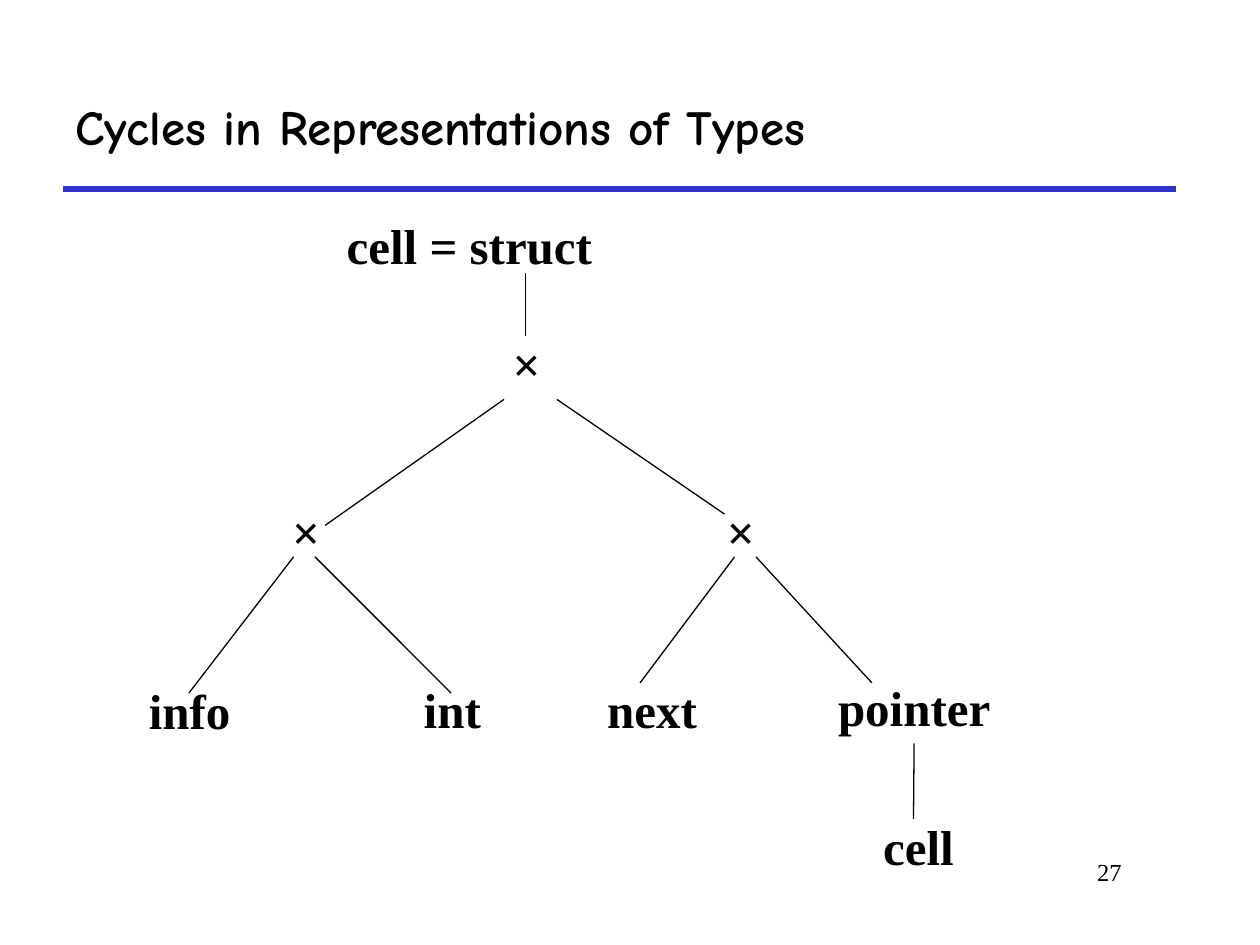
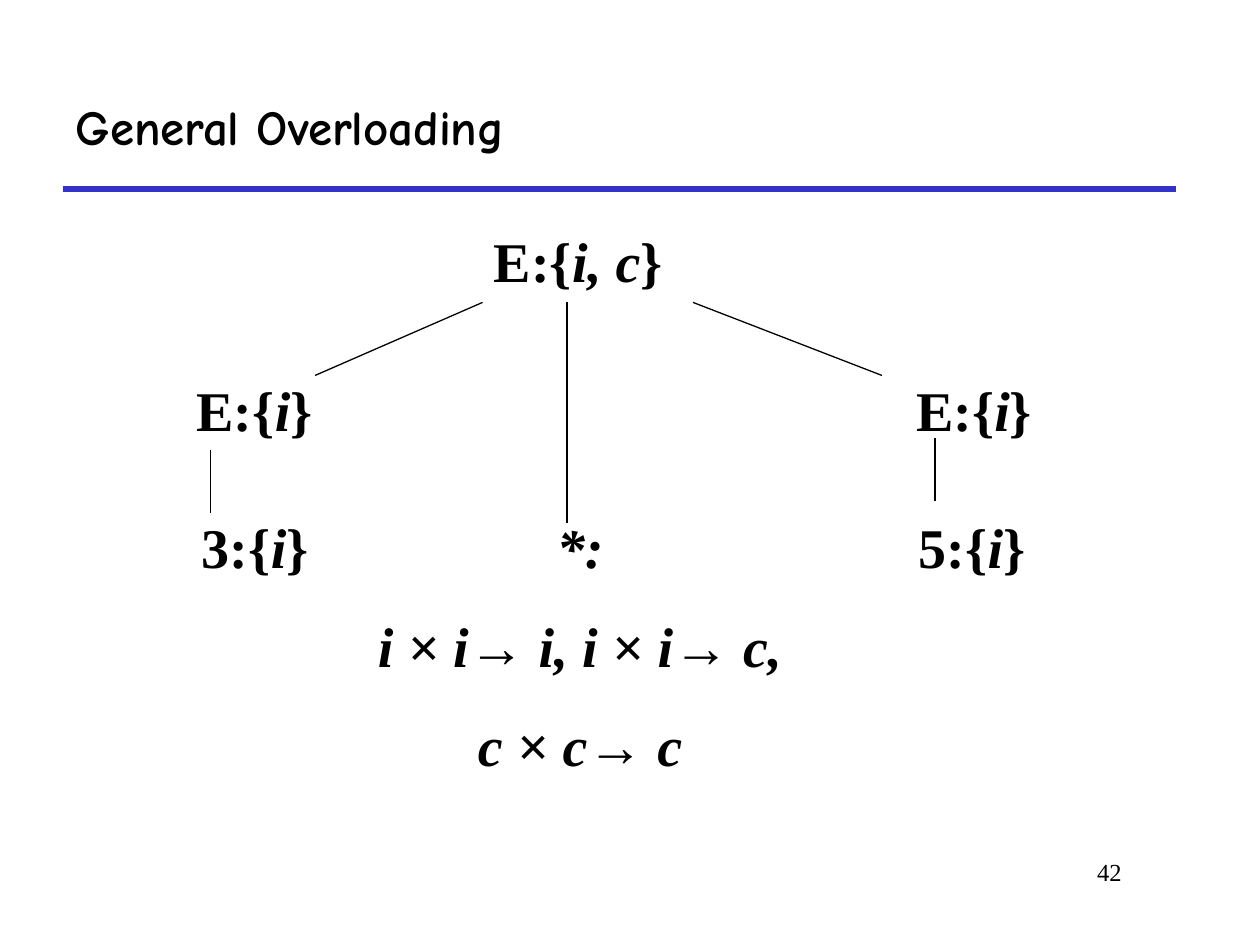
from dataclasses import dataclass

from lxml import etree
from pptx import Presentation
from pptx.dml.color import RGBColor
from pptx.enum.text import MSO_ANCHOR, MSO_AUTO_SIZE, PP_ALIGN
from pptx.oxml.ns import qn
from pptx.util import Inches, Pt

LEFT, CENTER, RIGHT = PP_ALIGN.LEFT, PP_ALIGN.CENTER, PP_ALIGN.RIGHT
MIDDLE = MSO_ANCHOR.MIDDLE
FIT_SHAPE = MSO_AUTO_SIZE.SHAPE_TO_FIT_TEXT
FIXED = MSO_AUTO_SIZE.NONE
TITLE_ONLY = 5
BOTTOM = 2


@dataclass(frozen=True)
class Theme:
    ink: RGBColor = RGBColor(0x00, 0x00, 0x00)
    accent: RGBColor = RGBColor(0x33, 0x33, 0xCC)
    title_font: str = "Comic Neue"
    body_font: str = "Times New Roman"
    title_size: int = 28
    type_node_size: int = 28
    overload_node_size: int = 32
    number_size: int = 14
    rule_width: float = 3
    branch_width: float = 0.75
    paragraph_gap: int = 18


THEME = Theme()


def apply_format(target, values):
    for name, value in values.items():
        setattr(target, name, value)


def format_font(font, size, **values):
    apply_format(font, {"name": THEME.body_font, "size": Pt(size), **values})
    font.color.rgb = THEME.ink


def add_line(page, start, end, color=THEME.ink, width=THEME.branch_width):
    line = page.shapes.add_connector(1, *map(Inches, start + end))
    line.line.color.rgb = color
    line.line.width = Pt(width)
    etree.SubElement(line.element.spPr, qn("a:effectLst"))
    return line


def add_layout_rule(page):
    rule = add_line(page, (0.5, 1.5), (9.33, 1.5), THEME.accent, THEME.rule_width)
    page.slide_layout.shapes.element.append(rule.element)


def place_title(page, text):
    title = page.shapes.title
    apply_format(title, {"left": Inches(0.5), "top": Inches(0.5),
                         "width": Inches(8.83), "height": Inches(1)})
    frame = title.text_frame
    apply_format(frame, {"text": text, "vertical_anchor": MIDDLE,
                         "auto_size": FIXED})
    para = frame.paragraphs[0]
    para.alignment = LEFT
    format_font(para.runs[0].font, THEME.title_size,
                name=THEME.title_font, bold=True)


def add_page_number(page, number):
    box = page.shapes.add_textbox(*map(Inches, (6.92, 6.75, 2.08, 0.5)))
    frame = box.text_frame
    apply_format(frame, {"word_wrap": True, "text": str(number)})
    para = frame.paragraphs[0]
    para.alignment = RIGHT
    format_font(para.runs[0].font, THEME.number_size)


def add_page(deck, title, number):
    page = deck.slides.add_slide(deck.slide_layouts[TITLE_ONLY])
    place_title(page, title)
    add_page_number(page, number)
    return page


def add_node(page, place, paragraphs, size):
    box = page.shapes.add_textbox(*map(Inches, place))
    frame = box.text_frame
    apply_format(frame, {"word_wrap": False, "auto_size": FIT_SHAPE})
    for index, spans in enumerate(paragraphs):
        para = frame.add_paragraph() if index else frame.paragraphs[0]
        para.alignment = CENTER
        para.space_before = Pt(THEME.paragraph_gap if index else 0)
        for text, italic in spans:
            span = para.add_run()
            span.text = text
            format_font(span.font, size, bold=True, italic=italic)
    return box


def add_type_set(page, place, name, types):
    spans = [(name + ":{", False), (types, True), ("}", False)]
    return add_node(page, place, [spans], THEME.overload_node_size)


def build_type_cycle(deck):
    page = add_page(deck, "Cycles in Representations of Types", 27)
    add_layout_rule(page)
    nodes = [
        ("cell = struct", 2.65, 1.66, 2.15),
        ("×", 3.97, 2.6, 0.41),
        ("×", 5.67, 3.93, 0.41),
        ("×", 2.22, 3.93, 0.41),
        ("info", 1.08, 5.35, 0.85),
        ("int", 3.26, 5.34, 0.66),
        ("next", 4.72, 5.34, 0.91),
        ("pointer", 6.55, 5.33, 1.41),
        ("cell", 6.91, 6.43, 0.76),
    ]
    boxes = {}
    for text, left, top, width in nodes:
        boxes[text] = add_node(page, (left, top, width, 0.57),
                               [[(text, False)]], THEME.type_node_size)
    branches = [
        ((4.17, 2.17), (4.17, 2.67)),
        ((4, 3.17), (2.58, 4.17)),
        ((4.42, 3.17), (5.75, 4.08)),
        ((2.33, 4.42), (1.5, 5.5)),
        ((2.5, 4.42), (3.58, 5.5)),
        ((5.83, 4.42), (5.08, 5.42)),
        ((6, 4.42), (6.92, 5.42)),
    ]
    for start, end in branches:
        add_line(page, start, end)
    cycle_link = add_line(page, (7.25, 5.92), (7.25, 6.5))
    cycle_link.begin_connect(boxes["pointer"], BOTTOM)


def build_overloading(deck):
    page = add_page(deck, "General Overloading", 42)
    type_sets = [
        ("E", "i, c", 3.82, 1.75, 1.54),
        ("E", "i", 1.46, 2.93, 1.12),
        ("E", "i", 7.17, 2.93, 1.12),
        ("3", "i", 1.5, 4.02, 1.05),
        ("5", "i", 7.19, 4.02, 1.05),
    ]
    for name, types, left, top, width in type_sets:
        add_type_set(page, (left, top, width, 0.63), name, types)
    signatures = ["*:", "i × i→ i, i × i→ c,", "c × c→ c"]
    add_node(page, (2.86, 4.02, 3.49, 2.23),
             [[(text, True)] for text in signatures], THEME.overload_node_size)
    branches = [
        ((3.83, 2.4), (2.5, 2.98)),
        ((5.5, 2.4), (7, 2.98)),
        ((4.5, 2.4), (4.5, 4.15)),
        ((1.67, 3.57), (1.67, 4.07)),
        ((7.42, 3.48), (7.42, 3.98)),
    ]
    for start, end in branches:
        add_line(page, start, end)


def main():
    deck = Presentation()
    apply_format(deck, {"slide_width": Inches(10), "slide_height": Inches(7.5)})
    build_type_cycle(deck)
    build_overloading(deck)
    deck.save("out.pptx")


if __name__ == "__main__":
    main()
